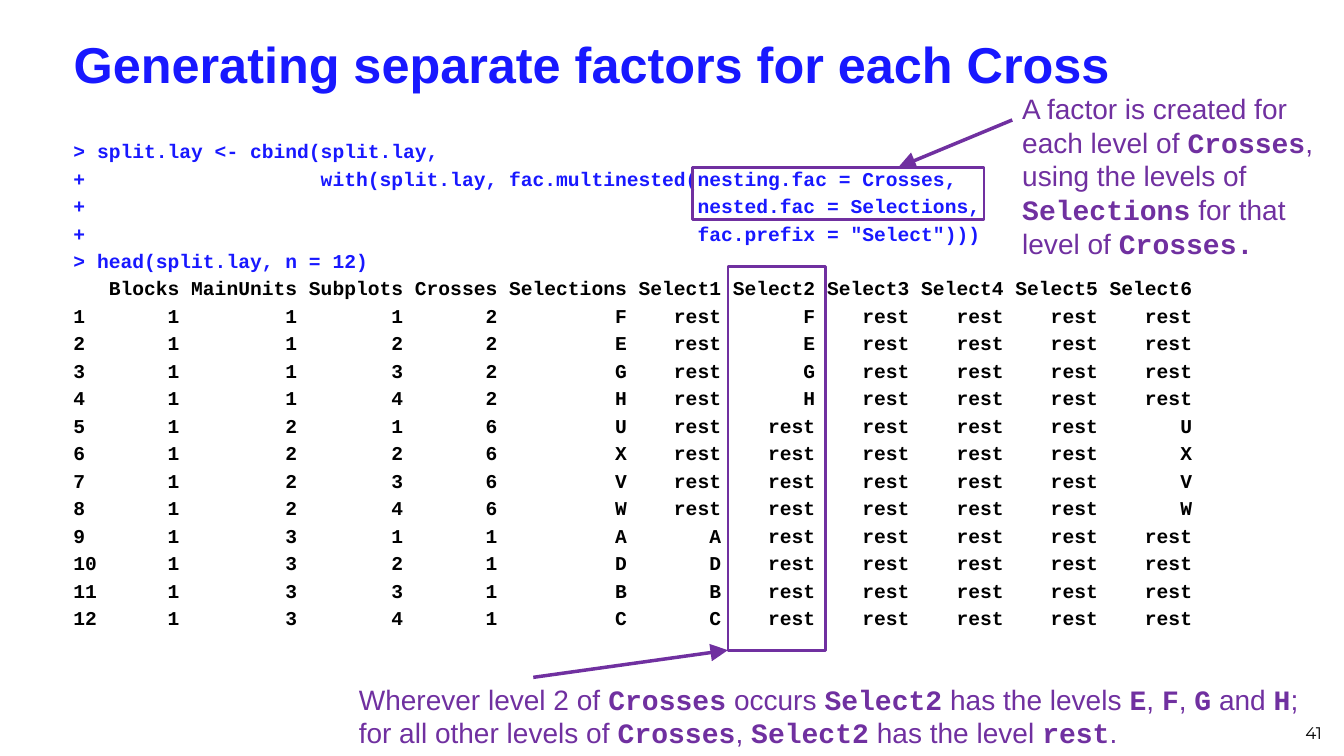
from typing import NamedTuple

from lxml import etree
from pptx import Presentation
from pptx import util as u
from pptx.dml.color import RGBColor
from pptx.enum import shapes, text
from pptx.oxml.ns import qn

WIDTH, HEIGHT = u.Inches(13.33), u.Inches(7.5)
BLUE, PURPLE, BLACK = "1818FF", "7030A0", "000000"
SANS, MONO = "Arial", "Courier New"
CODE_SIZE = 14


class Area(NamedTuple):
    """Left, top, width and height in percent of the slide."""
    left: float
    top: float
    width: float
    height: float


class Arrow(NamedTuple):
    """Start and end points in percent of the slide."""
    x1: float
    y1: float
    x2: float
    y2: float


class Callout(NamedTuple):
    """A note, the frame it explains and the arrow between them."""
    note: str  # code words stand between backticks
    note_area: Area
    frame: Area
    arrow: Arrow


TITLE_AREA = Area(4.73, 3.07, 94.52, 10.53)
LISTING_AREA = Area(4.73, 17.73, 94.52, 69.33)
NUMBER_AREA = Area(75.77, 92.27, 23.33, 6.67)

CALLOUTS = [
    Callout("A factor is created for each level of `Crosses`, using the levels of "
            "`Selections` for that level of `Crosses.`",
            Area(75.32, 11.47, 24.68, 23.73),
            Area(51.54, 22.13, 21.68, 6.93),
            Arrow(75.32, 15.87, 66.84, 22.13)),
    Callout("Wherever level 2 of `Crosses` occurs `Select2` has the levels "
            "`E`, `F`, `G` and `H`; \nfor all other levels of `Crosses`, "
            "`Select2` has the level `rest`.",
            Area(25.96, 89.6, 73.07, 10.27),
            Area(54.16, 35.2, 7.28, 50.8),
            Arrow(39.68, 89.6, 54.16, 86)),
]

COMMANDS = """\
> split.lay <- cbind(split.lay,
+                    with(split.lay, fac.multinested(nesting.fac = Crosses,
+                                                    nested.fac = Selections,
+                                                    fac.prefix = "Select")))
> head(split.lay, n = 12)""".split("\n")

HEADERS = ["Blocks", "MainUnits", "Subplots", "Crosses", "Selections"]
HEADERS += [f"Select{level}" for level in range(1, 7)]
MAIN_UNITS = [(2, "FEGH"), (6, "UXVW"), (1, "ADBC")]  # cross and its selections


def color(value: str) -> RGBColor:
    return RGBColor.from_string(value)


def scale(*shares: float) -> list[int]:
    """Turn alternating x and y percentages into lengths."""
    return [round(share / 100 * (HEIGHT if i % 2 else WIDTH))
            for i, share in enumerate(shares)]


def output_line(label: str, cells: list) -> str:
    """Right-align each cell under its header, as R prints a data frame."""
    return f"{label:<2}" + "".join(
        f" {cell:>{len(header)}}" for header, cell in zip(HEADERS, cells))


def output_lines() -> list[str]:
    lines = [output_line("", HEADERS)]
    for unit, (cross, selections) in enumerate(MAIN_UNITS, 1):
        for subplot, selection in enumerate(selections, 1):
            factors = [selection if level == cross else "rest" for level in range(1, 7)]
            lines.append(output_line(str(len(lines)),
                                     [1, unit, subplot, cross, selection, *factors]))
    return lines


def add_span(para, words: str, *, size: float, fill: str, font: str = SANS,
             bold: bool = False) -> None:
    span = para.add_run()
    span.text = words
    span.font.name, span.font.size, span.font.bold = font, u.Pt(size), bold
    span.font.color.rgb = color(fill)


def add_box(page, area: Area, anchor=text.MSO_ANCHOR.TOP):
    frame = page.shapes.add_textbox(*scale(*area)).text_frame
    frame.word_wrap = True
    frame.vertical_anchor = anchor
    return frame


def add_title(page, words: str) -> None:
    title = page.shapes.title
    title.left, title.top, title.width, title.height = scale(*TITLE_AREA)
    title.text_frame.vertical_anchor = text.MSO_ANCHOR.MIDDLE
    para = title.text_frame.paragraphs[0]
    para.alignment = text.PP_ALIGN.LEFT
    add_span(para, words, size=36, fill=BLUE, bold=True)


def add_listing(page) -> None:
    frame = add_box(page, LISTING_AREA)
    lines = [(line, BLUE) for line in COMMANDS] + [(line, BLACK) for line in output_lines()]
    for i, (line, fill) in enumerate(lines):
        para = frame.add_paragraph() if i else frame.paragraphs[0]
        para.space_before = u.Pt(0.2 * CODE_SIZE if i else 0)
        add_span(para, line, size=CODE_SIZE, fill=fill, font=MONO, bold=True)


def add_note(page, note: str, area: Area) -> None:
    para = add_box(page, area).paragraphs[0]
    for i, part in enumerate(note.split("`")):
        is_code = i % 2 == 1
        for j, words in enumerate(part.split("\n")):
            if j:
                para.add_line_break()
            if words:
                add_span(para, words, size=20, fill=PURPLE,
                         font=MONO if is_code else SANS, bold=is_code)


def add_frame(page, area: Area) -> None:
    frame = page.shapes.add_shape(shapes.MSO_SHAPE.RECTANGLE, *scale(*area))
    frame.shadow.inherit = False
    frame.fill.background()
    frame.line.color.rgb = color(PURPLE)
    frame.line.width = u.Pt(2)


def add_arrow(page, arrow: Arrow) -> None:
    connector = page.shapes.add_connector(shapes.MSO_CONNECTOR.STRAIGHT, *scale(*arrow))
    connector.line.color.rgb = color(PURPLE)
    connector.line.width = u.Pt(2.5)
    properties = connector._element.spPr
    etree.SubElement(properties.find(qn("a:ln")), qn("a:tailEnd"),
                     type="triangle", w="lg", len="lg")
    etree.SubElement(properties, qn("a:effectLst"))


def main() -> None:
    deck = Presentation()
    deck.slide_width, deck.slide_height = WIDTH, HEIGHT
    page = deck.slides.add_slide(deck.slide_layouts[5])

    # Title and R session
    add_title(page, "Generating separate factors for each Cross")
    add_listing(page)

    # Page number
    para = add_box(page, NUMBER_AREA, text.MSO_ANCHOR.BOTTOM).paragraphs[0]
    para.alignment = text.PP_ALIGN.RIGHT
    add_span(para, "41", size=12, fill=BLACK, font="Montserrat")

    # Callouts
    for callout in CALLOUTS:
        add_arrow(page, callout.arrow)
        add_note(page, callout.note, callout.note_area)
        add_frame(page, callout.frame)

    deck.save("out.pptx")


if __name__ == "__main__":
    main()
